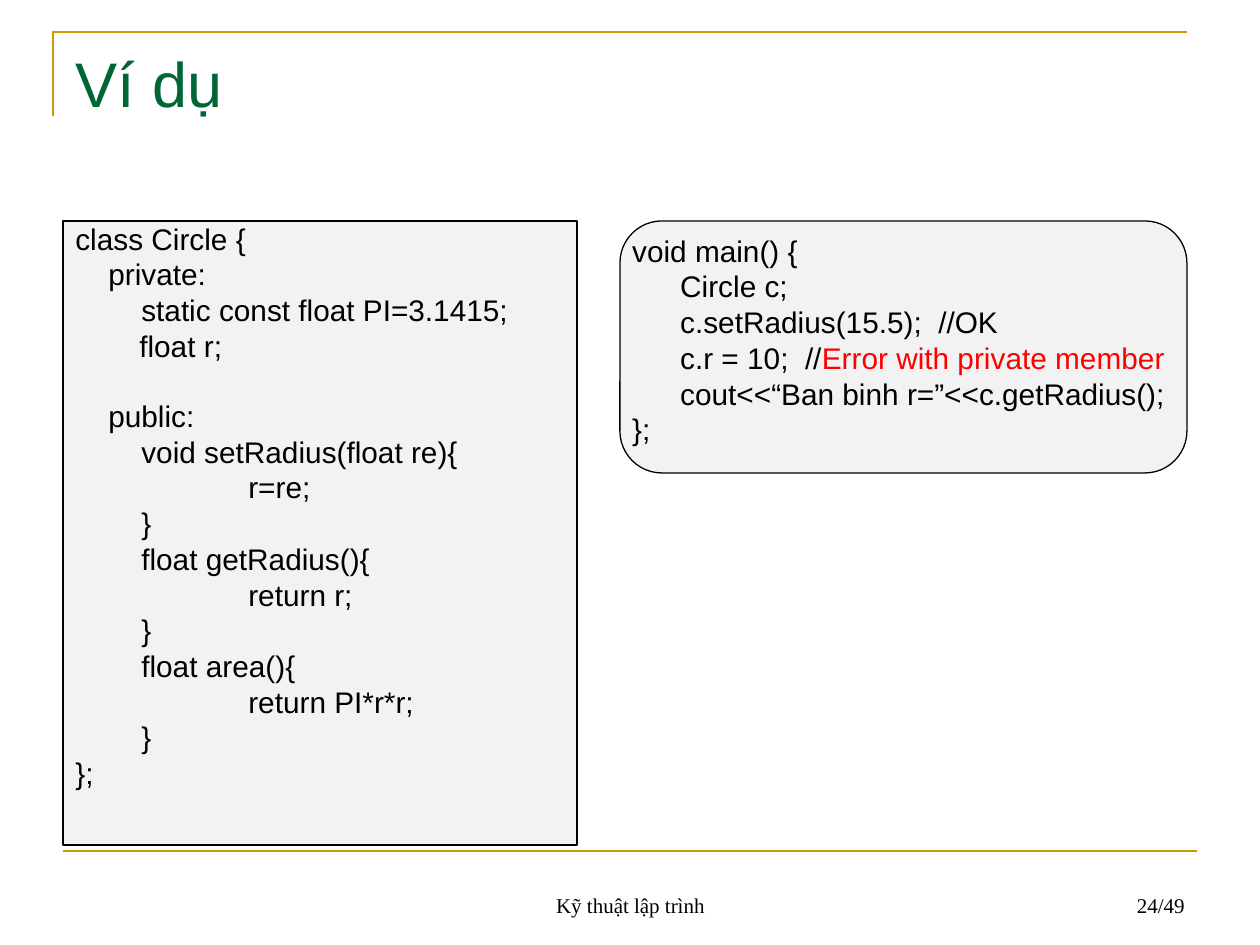
from lxml.etree import SubElement
from pptx import Presentation
from pptx.dml.color import RGBColor
from pptx.enum.shapes import MSO_CONNECTOR, MSO_SHAPE
from pptx.enum.text import MSO_ANCHOR, PP_ALIGN
from pptx.oxml.ns import qn
from pptx.util import Pt

EMU_PER_PX = 914400 / 126
GOLD = RGBColor(0xCC, 0x99, 0x00)
GREEN = RGBColor(0x00, 0x66, 0x33)
BLACK = RGBColor(0x00, 0x00, 0x00)
RED = RGBColor(0xFF, 0x00, 0x00)
GRAY = RGBColor(0xF2, 0xF2, 0xF2)

LINE_GAP = 4.1
SECTION_GAP = 23.8

CLASS_CODE = [
    (0, "class Circle {"),
    (33, "private:"),
    (66, "static const float PI=3.1415;"),
    (64, "float r;"),
    (33, "public:"),
    (66, "void setRadius(float re){"),
    (173, "r=re;"),
    (66, "}"),
    (66, "float getRadius(){"),
    (173, "return r;"),
    (66, "}"),
    (66, "float area(){"),
    (173, "return PI*r*r;"),
    (66, "}"),
    (0, "};"),
]
MAIN_CODE = [
    (0, "void main() {"),
    (48, "Circle c;"),
    (48, "c.setRadius(15.5);  //OK"),
    (48, "c.r = 10;  //"),
    (48, "cout<<“Ban binh r=”<<c.getRadius();"),
    (0, "};"),
]


def px(n):
    return round(n * EMU_PER_PX)


def box(*lengths):
    return [px(n) for n in lengths]


def style_run(r, size, font, color):
    r.font.size = Pt(size)
    r.font.name = font
    r.font.color.rgb = color


def style_line(sp, color, width):
    sp.line.color.rgb = color
    sp.line.width = Pt(width)


def add_label(s, at, text, size, font, color, align, anchor):
    tf = s.shapes.add_textbox(*box(*at)).text_frame
    tf.word_wrap = True
    tf.vertical_anchor = anchor
    p = tf.paragraphs[0]
    p.text = text
    p.alignment = align
    style_run(p.runs[0], size, font, color)


def add_corner(s):
    builder = s.shapes.build_freeform(53, 116, scale=EMU_PER_PX)
    builder.add_line_segments([(53, 32), (1187, 32)], close=False)
    sp = builder.convert_to_shape()
    sp.shadow.inherit = False
    sp.fill.background()
    style_line(sp, GOLD, 1.5)


def add_rule(s, x1, x2, y):
    rule = s.shapes.add_connector(MSO_CONNECTOR.STRAIGHT, *box(x1, y, x2, y))
    style_line(rule, GOLD, 1.5)
    SubElement(rule._element.spPr, qn("a:effectLst"))


def add_code(s, shape, at, lines):
    sp = s.shapes.add_shape(shape, *box(*at))
    sp.shadow.inherit = False
    sp.fill.solid()
    sp.fill.fore_color.rgb = GRAY
    style_line(sp, BLACK, 0.75)
    tf = sp.text_frame
    tf.word_wrap = True
    tf.vertical_anchor = MSO_ANCHOR.TOP
    tf.text = "\n".join(text for _, text in lines)
    for p, (indent, text) in zip(tf.paragraphs, lines):
        p.alignment = PP_ALIGN.LEFT
        p.line_spacing = 0.8
        p.space_before = Pt(SECTION_GAP if text == "public:" else LINE_GAP)
        p._p.get_or_add_pPr().set("marL", str(px(indent)))
        style_run(p.runs[0], 17, "Arial", BLACK)
    return sp


def main():
    prs = Presentation()
    prs.slide_width, prs.slide_height = box(1260, 945)
    s = prs.slides.add_slide(prs.slide_layouts[6])

    add_corner(s)
    add_rule(s, 63, 1197, 851)
    add_label(s, (431, 861, 399, 63), "Kỹ thuật lập trình", 12,
              "Times New Roman", BLACK, PP_ALIGN.CENTER, MSO_ANCHOR.BOTTOM)
    add_label(s, (903, 861, 294, 63), "24/49", 12,
              "Times New Roman", BLACK, PP_ALIGN.RIGHT, MSO_ANCHOR.BOTTOM)
    add_label(s, (63, 38, 1134, 158), "Ví dụ", 36,
              "Arial", GREEN, PP_ALIGN.LEFT, MSO_ANCHOR.TOP)

    add_code(s, MSO_SHAPE.RECTANGLE, (63, 221, 514, 624), CLASS_CODE)
    usage = add_code(s, MSO_SHAPE.ROUNDED_RECTANGLE, (620, 221, 567, 252), MAIN_CODE)
    tf = usage.text_frame
    tf.margin_left = tf.margin_right = 0
    r = tf.paragraphs[3].add_run()
    r.text = "Error with private member"
    style_run(r, 17, "Arial", RED)

    prs.save("out.pptx")


if __name__ == "__main__":
    main()
